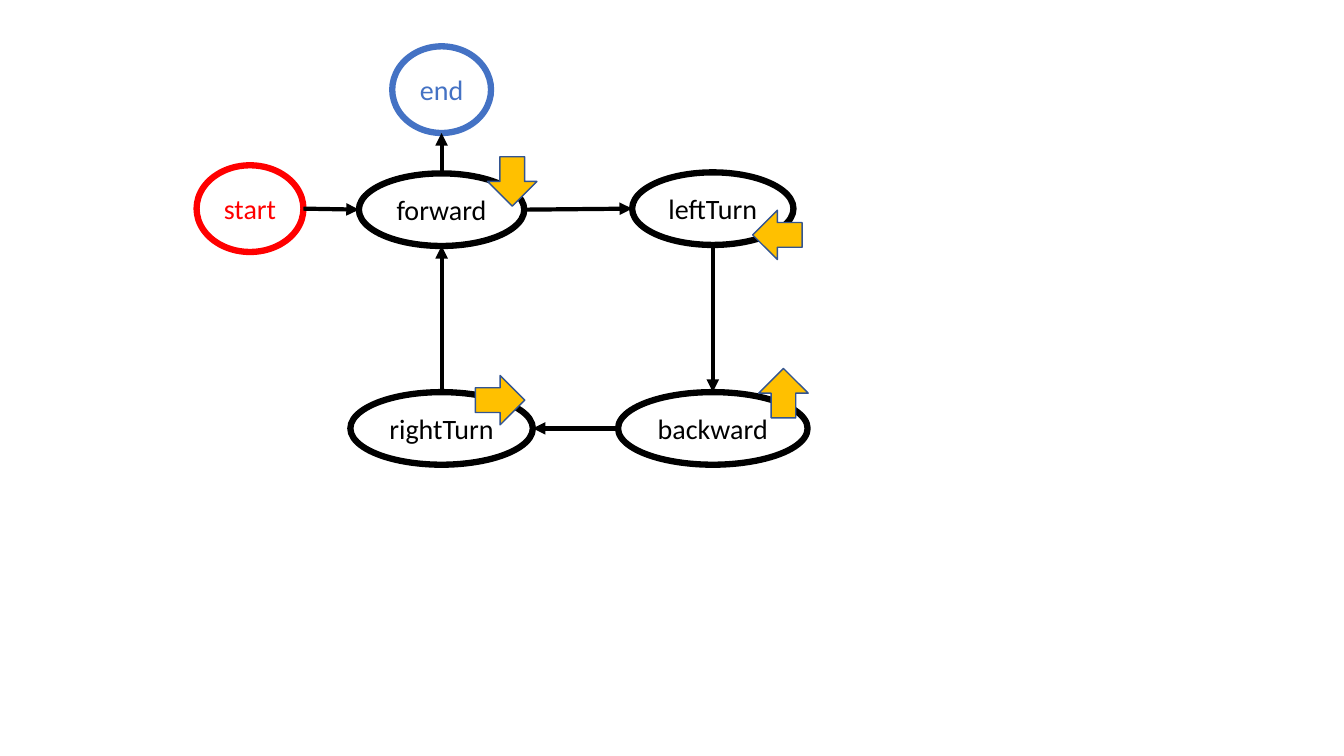
from dataclasses import dataclass

from lxml import etree
from pptx import Presentation
from pptx.dml.color import RGBColor
from pptx.enum import shapes, text
from pptx.oxml import ns
from pptx.shapes.autoshape import Shape
from pptx.slide import Slide
from pptx.util import Inches, Pt

RED = RGBColor(0xFF, 0x00, 0x00)
BLUE = RGBColor(0x44, 0x72, 0xC4)
BLACK = RGBColor(0x00, 0x00, 0x00)
GOLD = RGBColor(0xFF, 0xC0, 0x00)
NAVY = RGBColor(0x32, 0x54, 0x91)

# Grid: centres of columns and rows, in inches
START_COLUMN, LEFT_COLUMN, RIGHT_COLUMN = 2.48, 4.38, 7.07
END_ROW, TOP_ROW, FORWARD_ROW, BOTTOM_ROW = 0.89, 2.07, 2.08, 4.25
TERMINAL_HEIGHT, MOVE_HEIGHT = 0.86, 0.72
HEADING_SIZE = 0.49


@dataclass(frozen=True)
class State:
    label: str
    column: float
    row: float
    width: float
    height: float = MOVE_HEIGHT
    color: RGBColor = BLACK

    def edge(self, across: int, down: int) -> tuple[float, float]:
        """Point on the outline in the given direction from the centre."""
        return (self.column + across * self.width / 2,
                self.row + down * self.height / 2)


@dataclass(frozen=True)
class Transition:
    source: State
    target: State
    across: int
    down: int


@dataclass(frozen=True)
class Heading:
    state: State
    offset_x: float
    offset_y: float
    rotation: int


START = State("start", START_COLUMN, TOP_ROW, 1.06, TERMINAL_HEIGHT, RED)
END = State("end", LEFT_COLUMN, END_ROW, 0.98, TERMINAL_HEIGHT, BLUE)
FORWARD = State("forward", LEFT_COLUMN, FORWARD_ROW, 1.64)
LEFT_TURN = State("leftTurn", RIGHT_COLUMN, TOP_ROW, 1.6)
BACKWARD = State("backward", RIGHT_COLUMN, BOTTOM_ROW, 1.88)
RIGHT_TURN = State("rightTurn", LEFT_COLUMN, BOTTOM_ROW, 1.81)
STATES = (START, LEFT_TURN, BACKWARD, RIGHT_TURN, END, FORWARD)

TRANSITIONS = (
    Transition(START, FORWARD, 1, 0),
    Transition(FORWARD, LEFT_TURN, 1, 0),
    Transition(LEFT_TURN, BACKWARD, 0, 1),
    Transition(BACKWARD, RIGHT_TURN, -1, 0),
    Transition(RIGHT_TURN, FORWARD, 0, -1),
    Transition(FORWARD, END, 0, -1),
)

HEADINGS = (
    Heading(FORWARD, 0.7, -0.28, 180),
    Heading(LEFT_TURN, 0.64, 0.26, 270),
    Heading(BACKWARD, 0.7, -0.35, 0),
    Heading(RIGHT_TURN, 0.58, -0.28, 90),
)


def add_centred(slide: Slide, preset: shapes.MSO_SHAPE, x: float, y: float,
                width: float, height: float, outline: RGBColor,
                weight: float) -> Shape:
    shape = slide.shapes.add_shape(
        preset, Inches(x - width / 2), Inches(y - height / 2),
        Inches(width), Inches(height))
    shape.shadow.inherit = False
    shape.line.color.rgb = outline
    shape.line.width = Pt(weight)
    return shape


def draw_state(slide: Slide, state: State) -> None:
    oval = add_centred(slide, shapes.MSO_SHAPE.OVAL, state.column, state.row,
                       state.width, state.height, state.color, 4.5)
    oval.fill.background()
    frame = oval.text_frame
    frame.word_wrap = False
    frame.vertical_anchor = text.MSO_ANCHOR.MIDDLE
    paragraph = frame.paragraphs[0]
    paragraph.alignment = text.PP_ALIGN.CENTER
    label = paragraph.add_run()
    label.text = state.label
    label.font.name = "Calibri"
    label.font.size = Pt(20)
    label.font.color.rgb = state.color


def draw_transition(slide: Slide, move: Transition) -> None:
    begin = move.source.edge(move.across, move.down)
    end = move.target.edge(-move.across, -move.down)
    arrow = slide.shapes.add_connector(
        shapes.MSO_CONNECTOR.STRAIGHT, *map(Inches, begin + end))
    arrow.line.color.rgb = BLACK
    arrow.line.width = Pt(3)
    etree.SubElement(arrow.line._get_or_add_ln(), ns.qn("a:tailEnd"),
                     type="triangle")
    etree.SubElement(arrow._element.spPr, ns.qn("a:effectLst"))


def draw_heading(slide: Slide, heading: Heading) -> None:
    marker = add_centred(
        slide, shapes.MSO_SHAPE.UP_ARROW,
        heading.state.column + heading.offset_x,
        heading.state.row + heading.offset_y,
        HEADING_SIZE, HEADING_SIZE, NAVY, 1)
    marker.rotation = heading.rotation
    marker.fill.solid()
    marker.fill.fore_color.rgb = GOLD


def main() -> None:
    deck = Presentation()
    deck.slide_width, deck.slide_height = Inches(13.33), Inches(7.5)
    slide = deck.slides.add_slide(deck.slide_layouts[6])

    # States of the machine
    for state in STATES:
        draw_state(slide, state)
    # Arrows between states
    for transition in TRANSITIONS:
        draw_transition(slide, transition)
    # Direction markers
    for heading in HEADINGS:
        draw_heading(slide, heading)

    deck.save("out.pptx")


if __name__ == "__main__":
    main()
